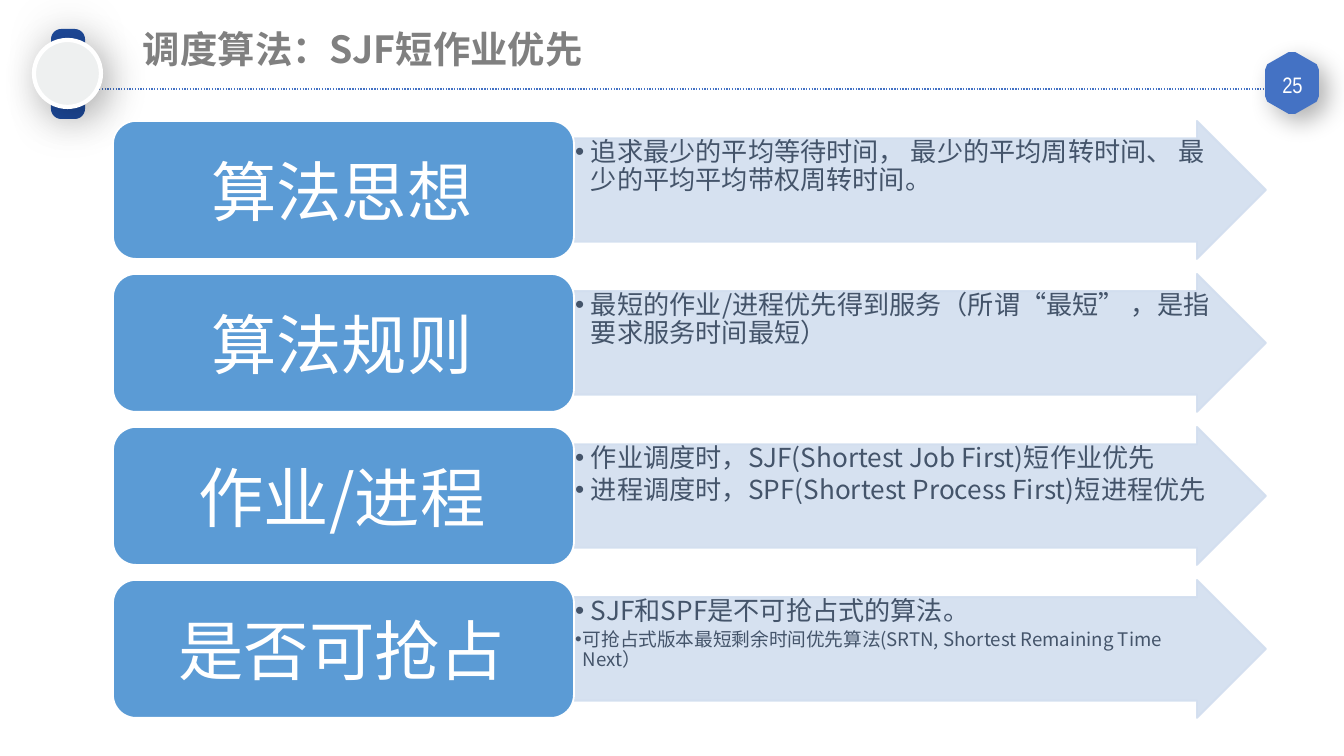
from lxml import etree
from pptx import Presentation
from pptx.dml.color import RGBColor
from pptx.enum.dml import MSO_LINE
from pptx.enum.shapes import MSO_CONNECTOR, MSO_SHAPE
from pptx.enum.text import MSO_ANCHOR, PP_ALIGN
from pptx.oxml.ns import qn
from pptx.util import Emu, Pt

SCALE = 9144000 / 1344  # EMU per px
ROUND_RECT = MSO_SHAPE.ROUNDED_RECTANGLE
OVAL = MSO_SHAPE.OVAL
ARROW = MSO_SHAPE.RIGHT_ARROW
STRAIGHT = MSO_CONNECTOR.STRAIGHT
DOTTED = MSO_LINE.ROUND_DOT
TOP, MIDDLE = MSO_ANCHOR.TOP, MSO_ANCHOR.MIDDLE
LEFT, CENTER = PP_ALIGN.LEFT, PP_ALIGN.CENTER

BLUE, WHITE, PALE = "4472C4", "FFFFFF", "D2DEEF"
ROW_TOP, ROW_PITCH, ROW_HEIGHT = 121, 153, 138
ROWS = [
    ("算法思想", [("追求最少的平均等待时间， 最少的平均周转时间、 最少的平均平均带权周转时间。", 14, 16)]),
    ("算法规则", [("最短的作业/进程优先得到服务（所谓“最短” ，是指要求服务时间最短）", 14, 16)]),
    ("作业/进程", [("作业调度时，SJF(Shortest Job First)短作业优先", 14, 16),
               ("进程调度时，SPF(Shortest Process First)短进程优先", 14, 16)]),
    ("是否可抢占", [("SJF和SPF是不可抢占式的算法。", 14, 16),
               ("可抢占式版本最短剩余时间优先算法(SRTN, Shortest Remaining Time Next）", 10, 8)]),
]


def px(value):
    return Emu(round(value * SCALE))


def color(hex_string):
    return RGBColor.from_string(hex_string)


def add_child(parent, tag, **attributes):
    return etree.SubElement(parent, qn(tag), {key: str(value) for key, value in attributes.items()})


class SlideBuilder:
    font = "Noto Sans CJK SC"

    def __init__(self, slide):
        self.slide = slide

    def line(self, x1, y1, x2, y2, line_color, width):
        connector = self.slide.shapes.add_connector(STRAIGHT, px(x1), px(y1), px(x2), px(y2))
        connector.line.color.rgb = color(line_color)
        connector.line.width = Pt(width)
        connector.line.dash_style = DOTTED
        add_child(connector._element.spPr, "a:effectLst")

    def style(self, shape, fill, line=None, line_width=1, opacity=100, shadow=None):
        shape.fill.solid()
        shape.fill.fore_color.rgb = color(fill)
        if line:
            shape.line.color.rgb = color(line)
            shape.line.width = Pt(line_width)
        else:
            shape.line.fill.background()
        shape.shadow.inherit = False
        properties = shape._element.spPr
        if opacity < 100:
            for rgb in properties.iter(qn("a:srgbClr")):
                add_child(rgb, "a:alpha", val=opacity * 1000)
        if shadow:
            alpha, blur, distance = shadow
            outer = add_child(properties.find(qn("a:effectLst")), "a:outerShdw", blurRad=int(Pt(blur)),
                              dist=int(Pt(distance)), dir=45 * 60000, algn="ctr", rotWithShape=0)
            add_child(add_child(outer, "a:srgbClr", val="000000"), "a:alpha", val=alpha * 1000)

    def shape(self, kind, x, y, width, height, adjustments=(), **style):
        shape = self.slide.shapes.add_shape(kind, px(x), px(y), px(width), px(height))
        for index, value in enumerate(adjustments):
            shape.adjustments[index] = value
        self.style(shape, **style)

    def polygon(self, points, **style):
        builder = self.slide.shapes.build_freeform(*points[0], scale=SCALE)
        builder.add_line_segments(points[1:], close=True)
        self.style(builder.convert_to_shape(), **style)

    def text_box(self, x, y, width, height, margins, anchor=TOP):
        box = self.slide.shapes.add_textbox(px(x), px(y), px(width), px(height))
        frame = box.text_frame
        frame.word_wrap = True
        frame.vertical_anchor = anchor
        frame.margin_left = frame.margin_right = px(margins[0])
        frame.margin_top = frame.margin_bottom = px(margins[1])
        return frame

    def run(self, paragraph, text, size, text_color, font=None, bold=False):
        run = paragraph.add_run()
        run.text = text
        run.font.size = Pt(size)
        run.font.bold = bold
        run.font.color.rgb = color(text_color)
        run.font.name = font or self.font
        add_child(run._r.get_or_add_rPr(), "a:ea", typeface=font or self.font)

    def label(self, box, text, size, text_color, margins=(9, 5), anchor=MIDDLE, align=CENTER, **font):
        paragraph = self.text_box(*box, margins, anchor).paragraphs[0]
        paragraph.alignment = align
        self.run(paragraph, text, size, text_color, **font)

    def bullets(self, box, items, text_color):
        frame = self.text_box(*box, (1, 1))
        for index, (text, size, indent) in enumerate(items):
            paragraph = frame.add_paragraph() if index else frame.paragraphs[0]
            properties = paragraph._p.get_or_add_pPr()
            properties.set("marL", str(int(px(indent))))
            properties.set("indent", str(-int(px(indent))))
            add_child(properties, "a:buFont", typeface="Arial")
            add_child(properties, "a:buChar", char="•")
            paragraph.level = 1
            paragraph.line_spacing = 0.9
            paragraph.space_after = Pt(round(size * 0.15))
            self.run(paragraph, text, size, text_color)


def main():
    presentation = Presentation()
    presentation.slide_width, presentation.slide_height = px(1344), px(756)
    builder = SlideBuilder(presentation.slides.add_slide(presentation.slide_layouts[6]))

    # Header rule and page number badge
    builder.line(44, 89, 1267, 89, BLUE, 0.75)
    corner = [(3, -30), (24, -18), (26, -13)]
    right = corner + [(x, -y) for x, y in reversed(corner)]
    outline = right + [(-x, -y) for x, y in right]
    builder.polygon([(1292 + x, 83 + y) for x, y in outline],
                    fill=BLUE, line=BLUE, shadow=(30, 13, 6))
    builder.label((1266, 68, 53, 33), "25", 12, WHITE, font="Arial Narrow")

    # Watch emblem
    builder.shape(ROUND_RECT, 51, 29, 34, 90, [0.3], fill="1D4999", shadow=(17, 27, 0))
    builder.shape(OVAL, 34, 40, 67, 67, fill="EEF0F0", line=WHITE, line_width=2.25,
                  shadow=(28, 22, 6))

    # Title
    builder.label((134, 21, 661, 55), "调度算法：SJF短作业优先", 20, "808080",
                  anchor=TOP, align=LEFT, bold=True)

    # Rows: arrow with bullets, then heading box
    for index, (heading, items) in enumerate(ROWS):
        top = ROW_TOP + index * ROW_PITCH
        builder.shape(ARROW, 574, top, 692, ROW_HEIGHT, [0.75, 0.5],
                      fill=PALE, line=PALE, opacity=90)
        builder.bullets((574, top + 17, 640, 103), items, "44546A")
        builder.shape(ROUND_RECT, 113, top, 461, ROW_HEIGHT, fill="5B9BD5", line=WHITE)
        builder.label((118, top + 7, 448, 125), heading, 35, WHITE, margins=(20, 9))

    presentation.save("out.pptx")


if __name__ == "__main__":
    main()
